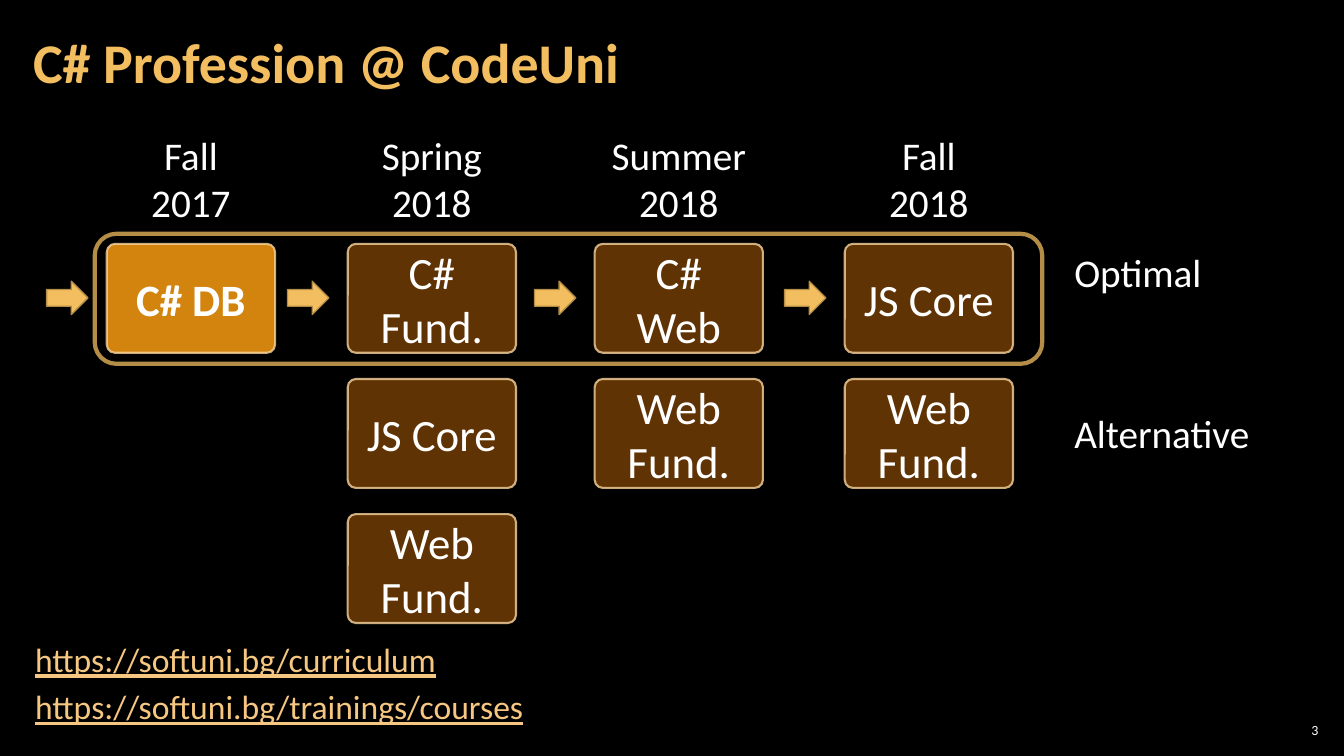
from lxml.etree import SubElement
from pptx import Presentation
from pptx.dml.color import RGBColor
from pptx.enum.shapes import MSO_SHAPE
from pptx.enum.text import MSO_ANCHOR, MSO_AUTO_SIZE, PP_ALIGN
from pptx.oxml.ns import qn
from pptx.util import Pt

FONT = "Calibri"
BLACK, WHITE = "000000", "FFFFFF"
GOLD, DARK_GOLD, LINK = "F3BE60", "B48D47", "F6C781"
ORANGE, BROWN, CREAM = "D3840F", "663606", "F8D49E"

BOX_W, BOX_H = 120.2, 77.8
ROW_TOP, ROW_STEP = 174.2, 96.5
ARROW_GAP = 43

# Column left edge, term, courses from the optimal row down
TERMS = [
    (76.3, "Fall\v2017", ["C# DB"]),
    (248.4, "Spring\v2018", ["C#\nFund.", "JS Core", "Web Fund."]),
    (424.8, "Summer\v2018", ["C#\nWeb", "Web Fund."]),
    (603.4, "Fall\v2018", ["JS Core", "Web Fund."]),
]


def rgb(color):
    return RGBColor.from_string(color)


def set_alpha(fill, percent):
    """Make a solid fill partly transparent; percent is its opacity."""
    color = fill._xPr.find(qn("a:solidFill"))[0]
    SubElement(color, qn("a:alpha"), val=str(percent * 1000))


def write(tf, text, size, color=WHITE, bold=False, align=PP_ALIGN.LEFT):
    tf.text = text
    for p in tf.paragraphs:
        p.alignment = align
        p.font.name = FONT
        p.font.size = Pt(size)
        p.font.bold = bold
        p.font.color.rgb = rgb(color)


def add_text(slide, x, y, w, h, text, size, wrap=True, anchor=MSO_ANCHOR.TOP, **style):
    tf = slide.shapes.add_textbox(Pt(x), Pt(y), Pt(w), Pt(h)).text_frame
    tf.word_wrap = wrap
    tf.vertical_anchor = anchor
    write(tf, text, size, **style)
    return tf


def add_shape(slide, kind, x, y, w, h, fill, line, line_width):
    sp = slide.shapes.add_shape(kind, Pt(x), Pt(y), Pt(w), Pt(h))
    sp.shadow.inherit = False
    if fill:
        sp.fill.solid()
        sp.fill.fore_color.rgb = rgb(fill)
    else:
        sp.fill.background()
    sp.line.color.rgb = rgb(line)
    sp.line.width = Pt(line_width)
    return sp


def add_course(slide, x, y, name, current):
    sp = add_shape(slide, MSO_SHAPE.ROUNDED_RECTANGLE, x, y, BOX_W, BOX_H,
                   ORANGE if current else BROWN, CREAM, 1.5)
    sp.adjustments[0] = 0.075
    set_alpha(sp.line.fill, 80)
    if not current:
        set_alpha(sp.fill, 95)
    tf = sp.text_frame
    tf.word_wrap = True
    tf.vertical_anchor = MSO_ANCHOR.MIDDLE
    write(tf, name, 32, bold=current, align=PP_ALIGN.CENTER)


def add_term(slide, x, term, courses, current):
    add_text(slide, x, 90, BOX_W, 75, term, 28, align=PP_ALIGN.CENTER)
    add_shape(slide, MSO_SHAPE.RIGHT_ARROW, x - ARROW_GAP, 200.9, 29.5, 23.8,
              GOLD, DARK_GOLD, 1)
    for row, name in enumerate(courses):
        add_course(slide, x, ROW_TOP + row * ROW_STEP, name, current)


def add_link(slide, y, w, address):
    tf = add_text(slide, 18, y, w, 36, address, 24, wrap=False, color=LINK)
    tf.auto_size = MSO_AUTO_SIZE.SHAPE_TO_FIT_TEXT
    tf.paragraphs[0].font.underline = True


def main():
    prs = Presentation()
    prs.slide_width, prs.slide_height = Pt(960), Pt(540)
    slide = prs.slides.add_slide(prs.slide_layouts[6])
    slide.background.fill.solid()
    slide.background.fill.fore_color.rgb = rgb(BLACK)

    title = add_text(slide, 15.1, 2.9, 753.8, 87.1, "C# Profession @ CodeUni", 40,
                     anchor=MSO_ANCHOR.MIDDLE, color=GOLD, bold=True)
    title.margin_left = title.margin_right = Pt(8.5)
    title.paragraphs[0].line_spacing = 0.9

    for i, (x, term, courses) in enumerate(TERMS):
        add_term(slide, x, term, courses, current=i == 0)
    add_text(slide, 760.3, 174.2, 153.4, 41, "Optimal", 28)
    add_text(slide, 760.3, 288.7, 153.4, 41, "Alternative", 28)
    add_shape(slide, MSO_SHAPE.ROUNDED_RECTANGLE, 67.7, 167, 676.8, 92.9,
              None, DARK_GOLD, 3)

    add_link(slide, 452.9, 309.6, "https://softuni.bg/curriculum")
    add_link(slide, 486.7, 373, "https://softuni.bg/trainings/courses")
    number = add_text(slide, 910.8, 514.1, 33.8, 15.1, "3", 10,
                      anchor=MSO_ANCHOR.MIDDLE, align=PP_ALIGN.RIGHT)
    number.margin_left = number.margin_right = Pt(2.9)
    number.margin_top = number.margin_bottom = Pt(2.9)

    prs.save("out.pptx")


if __name__ == "__main__":
    main()
